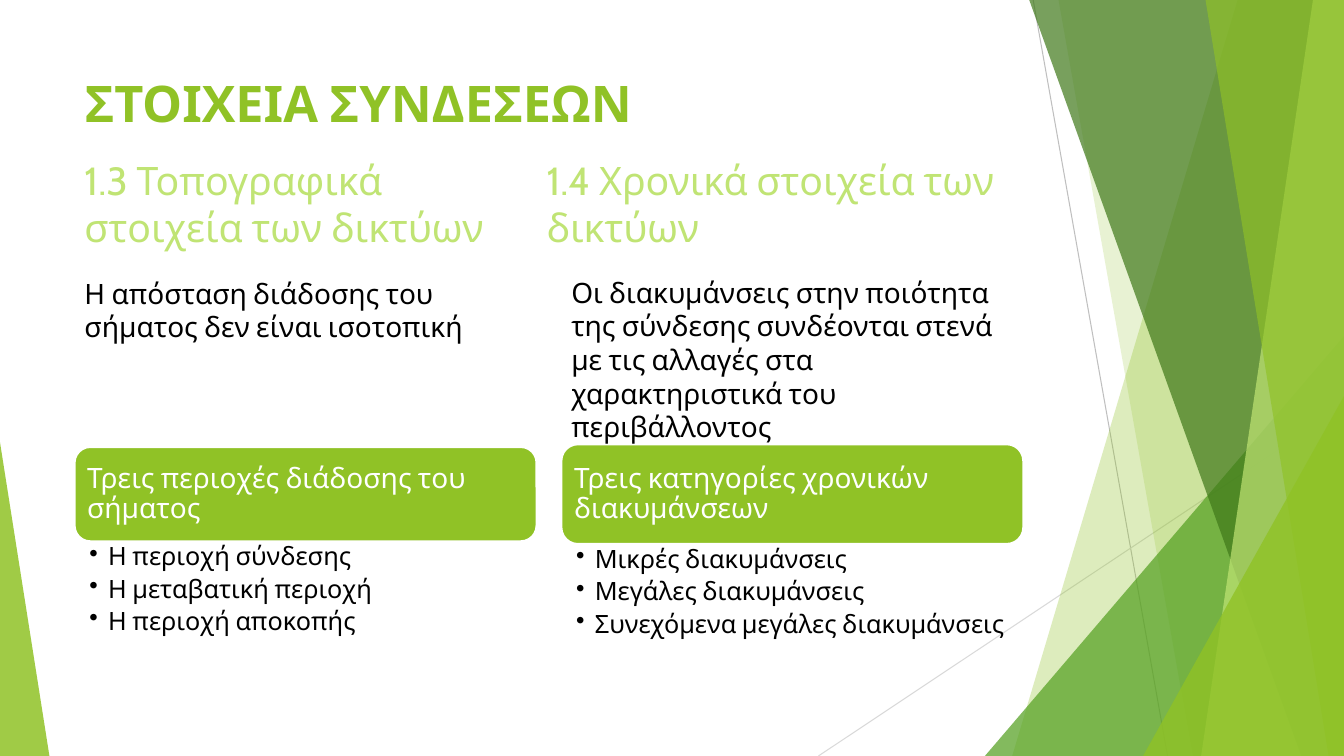
from lxml import etree
from pptx import Presentation
from pptx.dml.color import RGBColor
from pptx.enum.shapes import MSO_CONNECTOR as Connector
from pptx.enum.shapes import MSO_SHAPE as Shape
from pptx.enum.text import MSO_ANCHOR as Anchor
from pptx.enum.text import PP_ALIGN as Align
from pptx.oxml.ns import qn
from pptx.util import Pt

WIDTH, HEIGHT = 960, 540
GREEN = RGBColor(0x90, 0xC2, 0x26)
LIME = RGBColor(0xC0, 0xE4, 0x74)
LEAF = RGBColor(0x54, 0xA0, 0x21)
FOREST = RGBColor(0x3F, 0x78, 0x19)
GREY = RGBColor(0xBF, 0xBF, 0xBF)
SILVER = RGBColor(0xD9, 0xD9, 0xD9)
WHITE = RGBColor(0xFF, 0xFF, 0xFF)
BLACK = RGBColor(0, 0, 0)

RAYS = [((738, 0), (834, HEIGHT), GREY), ((WIDTH, 290), (584.6, HEIGHT), SILVER)]
FACETS_BACK = [(884.2, 723, GREEN, 30), (756, 852, GREEN, 20)]
FACETS_FRONT = [(735, 929.5, FOREST, 70), (938, 858, LIME, 70), (861, 949, GREEN, 65)]
COLUMNS = [
    {
        "heading": ("1.3 Τοπογραφικά στοιχεία των δικτύων", 53.3, 330),
        "intro": ("Η απόσταση διάδοσης του σήματος δεν είναι ισοτοπική", 193.7, 55.7),
        "card": ("Τρεις περιοχές διάδοσης του σήματος", 319.3, 67.4),
        "items": ["Η περιοχή σύνδεσης", "Η μεταβατική περιοχή", "Η περιοχή αποκοπής"],
        "left": 53.3,
    },
    {
        "heading": ("1.4 Χρονικά στοιχεία των δικτύων", 383.3, 347.5),
        "intro": (
            "Οι διακυμάνσεις στην ποιότητα της σύνδεσης συνδέονται στενά "
            "με τις αλλαγές στα χαρακτηριστικά του περιβάλλοντος", 193, 104.4),
        "card": ("Τρεις κατηγορίες χρονικών διακυμάνσεων", 317.3, 71.3),
        "items": ["Μικρές διακυμάνσεις", "Μεγάλες διακυμάνσεις",
                  "Συνεχόμενα μεγάλες διακυμάνσεις"],
        "left": 401,
    },
]
COLUMN_WIDTH = 330


class SlidePainter:
    """Draws styled elements on one slide, with lengths in points."""

    font_name = "Cabin"

    def __init__(self, page):
        self.page = page

    def fill(self, shape, color, opacity=100):
        shape.shadow.inherit = False
        shape.fill.solid()
        shape.fill.fore_color.rgb = color
        shape.line.fill.background()
        if opacity < 100:
            tint = shape.fill._xPr.find(qn("a:solidFill"))[0]
            etree.SubElement(tint, qn("a:alpha"), val=str(opacity * 1000))

    def ray(self, start, end, color):
        line = self.page.shapes.add_connector(
            Connector.STRAIGHT, *(Pt(value) for value in start + end))
        line.line.color.rgb = color
        line.line.width = Pt(0.75)
        etree.SubElement(line._element.spPr, qn("a:effectLst"))

    def facet(self, top_left, bottom_left, color, opacity):
        top = Pt(-0.6)
        outline = self.page.shapes.build_freeform(Pt(top_left), top)
        outline.add_line_segments(
            [(Pt(WIDTH), top), (Pt(WIDTH), Pt(HEIGHT)), (Pt(bottom_left), Pt(HEIGHT))])
        self.fill(outline.convert_to_shape(), color, opacity)

    def corner(self, left, top, width, apex, color, opacity):
        shape = self.page.shapes.add_shape(
            Shape.ISOSCELES_TRIANGLE, Pt(left), Pt(top), Pt(width), Pt(HEIGHT - top))
        shape.adjustments[0] = apex
        self.fill(shape, color, opacity)

    def style(self, para, size, color, bold=False):
        para.alignment = Align.LEFT
        para.font.name = self.font_name
        para.font.size = Pt(size)
        para.font.color.rgb = color
        para.font.bold = bold

    def frame(self, left, top, width, height):
        box = self.page.shapes.add_textbox(Pt(left), Pt(top), Pt(width), Pt(height))
        box.text_frame.word_wrap = True
        return box.text_frame

    def text(self, words, left, top, width, height, size, color, bold=False):
        frame = self.frame(left, top, width, height)
        frame.text = words
        self.style(frame.paragraphs[0], size, color, bold)

    def card(self, words, left, top, width, height):
        shape = self.page.shapes.add_shape(
            Shape.ROUNDED_RECTANGLE, Pt(left), Pt(top), Pt(width), Pt(height))
        self.fill(shape, GREEN)
        shape.line.color.rgb = WHITE
        shape.line.width = Pt(1.5)
        frame = shape.text_frame
        frame.word_wrap = True
        frame.vertical_anchor = Anchor.MIDDLE
        frame.margin_left = frame.margin_right = Pt(5.7)
        frame.text = words
        para = frame.paragraphs[0]
        para.line_spacing = 0.9
        self.style(para, 20, WHITE)

    def bullets(self, items, left, top, width, height):
        frame = self.frame(left, top, width, height)
        frame.margin_left, frame.margin_right = Pt(10.5), Pt(10)
        frame.margin_top = frame.margin_bottom = Pt(2)
        frame.text = "\n".join(items)
        for para in frame.paragraphs:
            para.level = 1
            para.line_spacing = 0.9
            para.space_after = Pt(3.6)
            self.style(para, 18, BLACK)
            props = para._p.get_or_add_pPr()
            props.set("marL", str(Pt(13.5)))
            props.set("indent", str(Pt(-13.5)))
            etree.SubElement(props, qn("a:buChar"), char="•")
            props.append(props.find(qn("a:defRPr")))


def main():
    deck = Presentation()
    deck.slide_width, deck.slide_height = Pt(WIDTH), Pt(HEIGHT)
    painter = SlidePainter(deck.slides.add_slide(deck.slide_layouts[6]))

    for ray in RAYS:
        painter.ray(*ray)
    for facet in FACETS_BACK:
        painter.facet(*facet)
    painter.corner(703.5, 240, 256.5, 1, LEAF, 72)
    for facet in FACETS_FRONT:
        painter.facet(*facet)
    painter.corner(816.5, 283, 143.5, 1, GREEN, 80)
    painter.corner(0, 316, 35.3, 0, GREEN, 85)

    painter.text("ΣΤΟΙΧΕΙΑ ΣΥΝΔΕΣΕΩΝ", 53.3, 48, 677, 50.4, 36, GREEN, bold=True)
    for column in COLUMNS:
        left = column["left"]
        words, top, height = column["card"]
        painter.card(words, left, top, COLUMN_WIDTH, height)
        painter.bullets(column["items"], left, top + height, COLUMN_WIDTH, 85)
        words, heading_left, heading_width = column["heading"]
        painter.text(words, heading_left, 108, heading_width, 75, 28, LIME)
        words, top, height = column["intro"]
        painter.text(words, left, top, COLUMN_WIDTH, height, 20, BLACK)

    deck.save("out.pptx")


if __name__ == "__main__":
    main()
